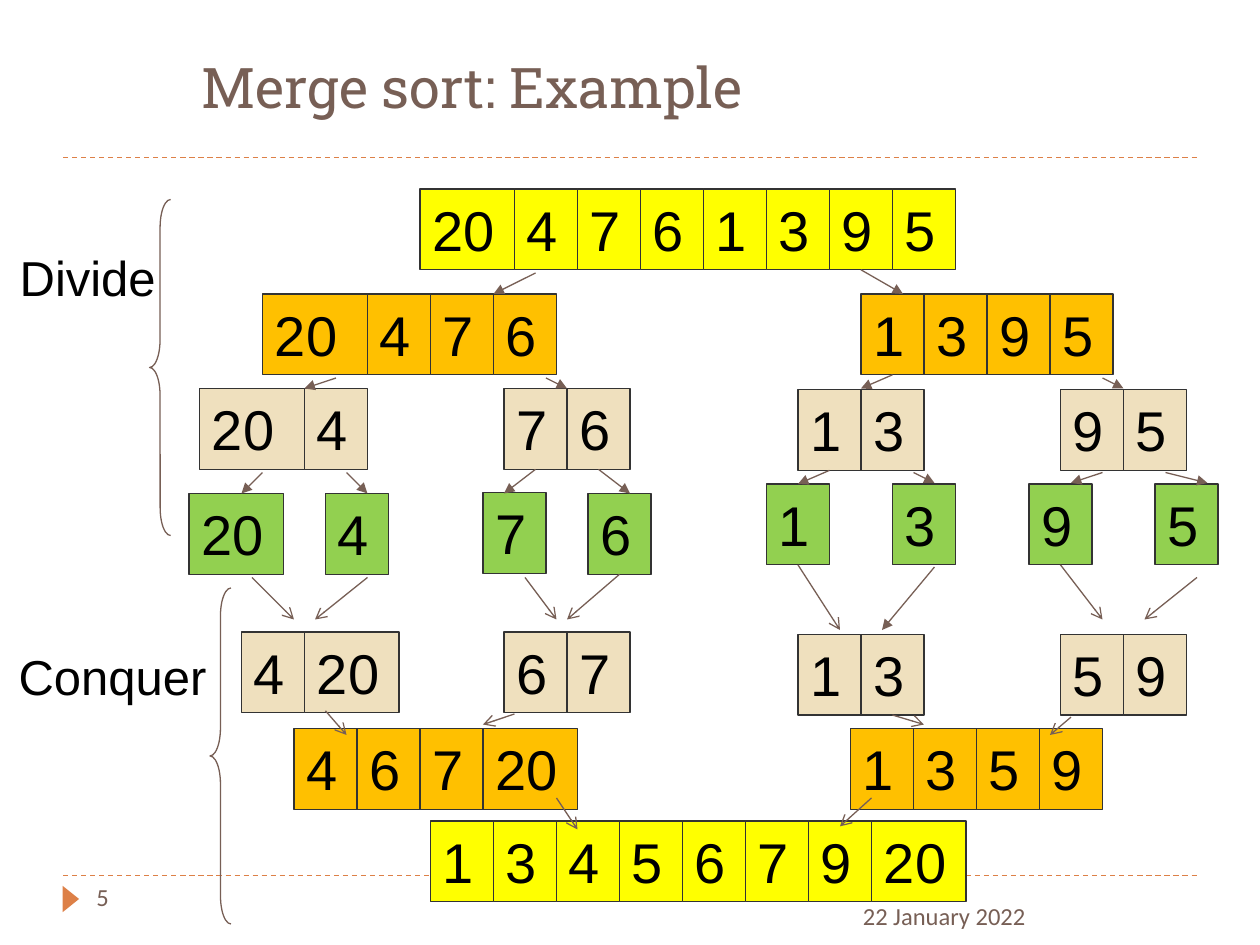
"""Build the merge sort example slide on a grid of 120 columns by 90 rows."""
from dataclasses import dataclass

from lxml.etree import SubElement
from pptx import Presentation
from pptx.dml.color import RGBColor
from pptx.enum.dml import MSO_LINE_DASH_STYLE as DASH
from pptx.enum.shapes import MSO_CONNECTOR as CONN, MSO_SHAPE as SHAPE
from pptx.enum.text import MSO_ANCHOR as ANCHOR, PP_ALIGN as ALIGN
from pptx.oxml.ns import qn
from pptx.util import Inches, Pt


@dataclass(frozen=True)
class Theme:
    brown: str = "775F55"
    accent: str = "DD8047"
    edge: str = "333333"
    ink: str = "000000"
    whole: str = "FFFF00"
    half: str = "FFC000"
    pair: str = "EFE0BE"
    single: str = "92D050"
    heading: str = "Roboto Slab"
    body: str = "Arial"
    footer: str = "Calibri"
    large: int = 32
    label: int = 28
    small: int = 14
    stroke: float = 0.75


class Slide:
    def __init__(self, prs, theme):
        self.theme = theme
        self.s = prs.slides.add_slide(prs.slide_layouts[5])
        self.unit = prs.slide_width / 120
        self.cells = []

    def at(self, *lengths):
        return [round(n * self.unit) for n in lengths]

    def set_text(self, tf, text, font, size, color):
        p = tf.paragraphs[0]
        p.text, p.alignment = text, ALIGN.LEFT
        p.font.name, p.font.size = font, Pt(size)
        p.font.color.rgb = RGBColor.from_string(color)

    def stroke(self, line, color):
        line.color.rgb = RGBColor.from_string(color)
        line.width = Pt(self.theme.stroke)

    def title(self, text, box):
        sp = self.s.shapes.title
        sp.left, sp.top, sp.width, sp.height = self.at(*box)
        tf = sp.text_frame
        tf.vertical_anchor, tf.margin_left = ANCHOR.BOTTOM, Inches(1.1)
        self.set_text(tf, text, self.theme.heading, self.theme.large, self.theme.brown)

    def text(self, text, box, font, size, color, wrap=True):
        tf = self.s.shapes.add_textbox(*self.at(*box)).text_frame
        tf.word_wrap = wrap
        self.set_text(tf, text, font, size, color)

    def shape(self, kind, box, fill=None, edge=None):
        sp = self.s.shapes.add_shape(kind, *self.at(*box))
        sp.shadow.inherit = False
        if fill:
            sp.fill.solid()
            sp.fill.fore_color.rgb = RGBColor.from_string(fill)
        else:
            sp.fill.background()
        if edge:
            self.stroke(sp.line, edge)
        else:
            sp.line.fill.background()
        return sp

    def array(self, left, top, fill, values, wide=9):
        for value in values.split():
            width, height = (wide if len(value) > 1 else 6), 7.7
            sp = self.shape(SHAPE.RECTANGLE, (left, top, width, height), fill, self.theme.edge)
            sp.text_frame.vertical_anchor = ANCHOR.TOP
            self.set_text(sp.text_frame, value, self.theme.body, self.theme.large, self.theme.ink)
            self.cells.append((sp, left + width / 2, top, top + height))
            left += width

    def line(self, start, end, color):
        cxn = self.s.shapes.add_connector(CONN.STRAIGHT, *self.at(*start, *end))
        self.stroke(cxn.line, color)
        SubElement(cxn._element.spPr, qn("a:effectLst"))
        return cxn

    def rule(self, y):
        self.line((6, y), (114, y), self.theme.accent).line.dash_style = DASH.DASH

    def arrow(self, start, end, head):
        cxn = self.line(start, end, self.theme.brown)
        SubElement(cxn._element.spPr.find(qn("a:ln")), qn("a:tailEnd"), type=head)
        for sp, middle, top, bottom in self.cells:
            if abs(start[0] - middle) < 0.1 and abs(start[1] - bottom) < 0.5:
                cxn.begin_connect(sp, 2)
            if abs(end[0] - middle) < 0.1 and abs(end[1] - top) < 0.5:
                cxn.end_connect(sp, 0)

    def brace(self, left, top):
        sp = self.shape(SHAPE.LEFT_BRACE, (left, top, 2, 32), edge=self.theme.brown)
        sp.adjustments[0], sp.adjustments[1] = 1.333, 0.5


def main():
    prs = Presentation()
    prs.slide_width, prs.slide_height = Inches(10), Inches(7.5)
    t = Theme()
    s = Slide(prs, t)

    for y in (83.4, 15):
        s.rule(y)
    s.shape(SHAPE.ISOSCELES_TRIANGLE, (5.5, 84.84, 2.5, 1.56), t.accent).rotation = 90
    s.title("Merge sort: Example", (6, 4, 109, 8))
    s.text("22 January 2022", (81, 85.2, 35, 4.8), t.footer, t.small, t.brown)
    s.text("5", (8, 83.4, 26, 4.8), t.footer, t.small, t.brown)

    s.array(40, 18, t.whole, "20 4 7 6 1 3 9 5")
    s.array(25, 28, t.half, "20 4 7 6", wide=10)
    s.array(82, 28, t.half, "1 3 9 5")
    s.array(19, 37, t.pair, "20 4", wide=10)
    for left, top, values in ((48, 37, "7 6"), (76, 37.1, "1 3"), (101, 37.1, "9 5"),
                              (23, 60.2, "4 20"), (48, 60.2, "6 7"),
                              (76, 60.4, "1 3"), (101, 60.4, "5 9")):
        s.array(left, top, t.pair, values)
    for left, top, value in ((18, 47, "20"), (31, 47, "4"), (46, 46.9, "7"), (56, 47, "6"),
                             (73, 46.1, "1"), (85, 46.1, "3"), (98, 46.1, "9"), (110, 46.1, "5")):
        s.array(left, top, t.single, value)
    s.array(28, 69.4, t.half, "4 6 7 20")
    s.array(81, 69.4, t.half, "1 3 5 9")
    s.array(41, 78.2, t.whole, "1 3 4 5 6 7 9 20")

    s.text("Divide", (0.7, 23, 18.2, 6.8), t.body, t.label, t.ink)
    s.text("Conquer", (0.6, 61, 20.4, 6.8), t.body, t.label, t.ink, wrap=False)
    s.brace(20, 56)
    s.brace(14.25, 19)

    divide = (
        (26, 28, ((51, 47), (82, 86))),
        (36, 37, ((32, 29), (52, 54), (85, 82), (105, 107))),
        (45, 47, ((25, 23), (33, 35), (51, 48), (57, 60))),
        (45, 46, ((79, 76), (87, 89), (105, 102), (111, 115))),
        (54, 60, ((89, 84),)),
    )
    conquer = (
        (55, 59, ((24, 28), (35, 30), (50, 53), (59, 54), (114, 109))),
        (54, 60, ((76, 80),)),
        (54, 59, ((101, 105),)),
        (67.7, 70, ((31, 33),)),
        (68, 69, ((49, 46),)),
        (68.3, 69, ((85, 88),)),
        (68.3, 70, ((102, 100),)),
        (76, 79, ((53, 55),)),
        (76, 78.7, ((83, 80),)),
    )
    for head, levels in (("triangle", divide), ("arrow", conquer)):
        for top, bottom, spans in levels:
            for start, end in spans:
                s.arrow((start, top), (end, bottom), head)

    prs.save("out.pptx")


if __name__ == "__main__":
    main()
